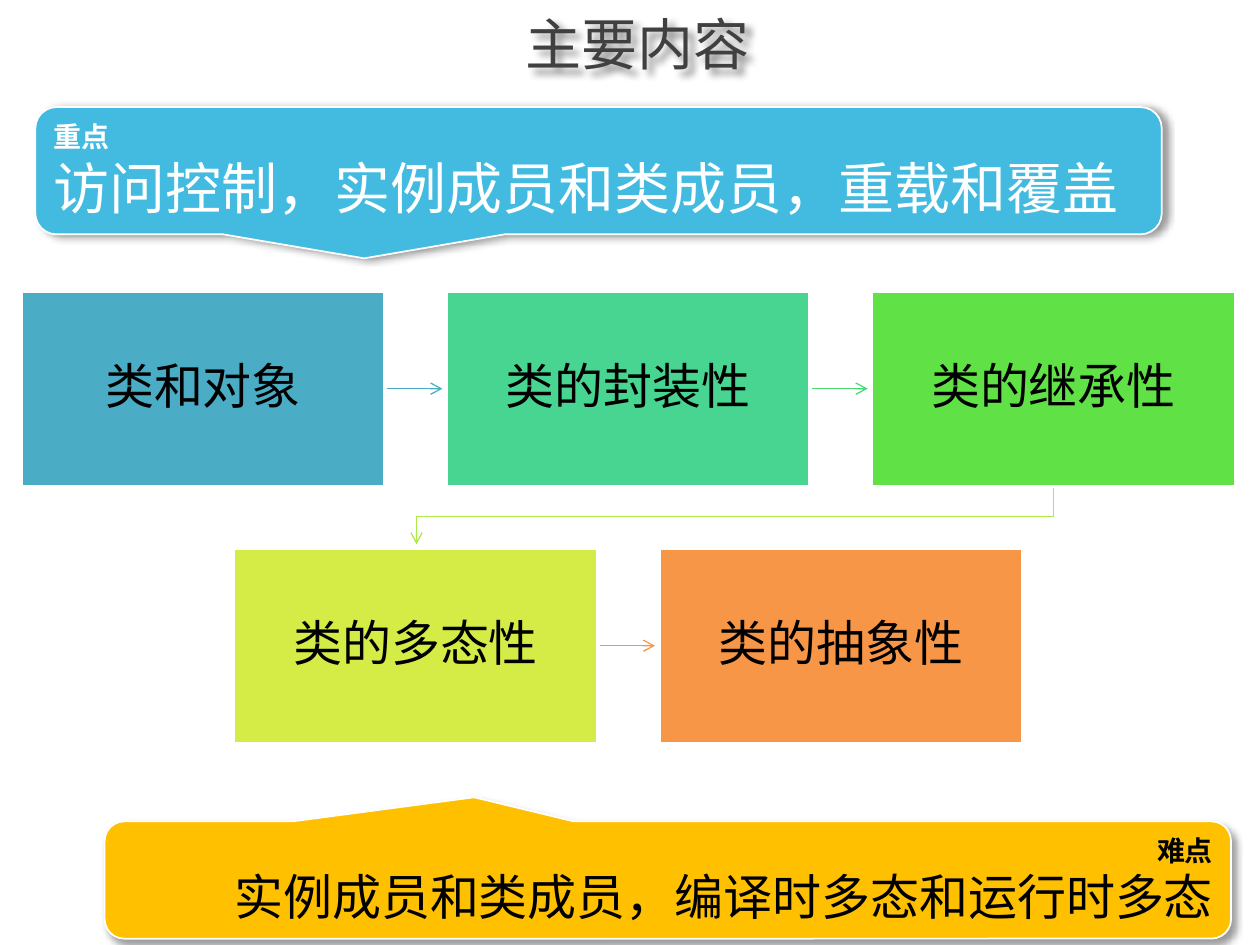
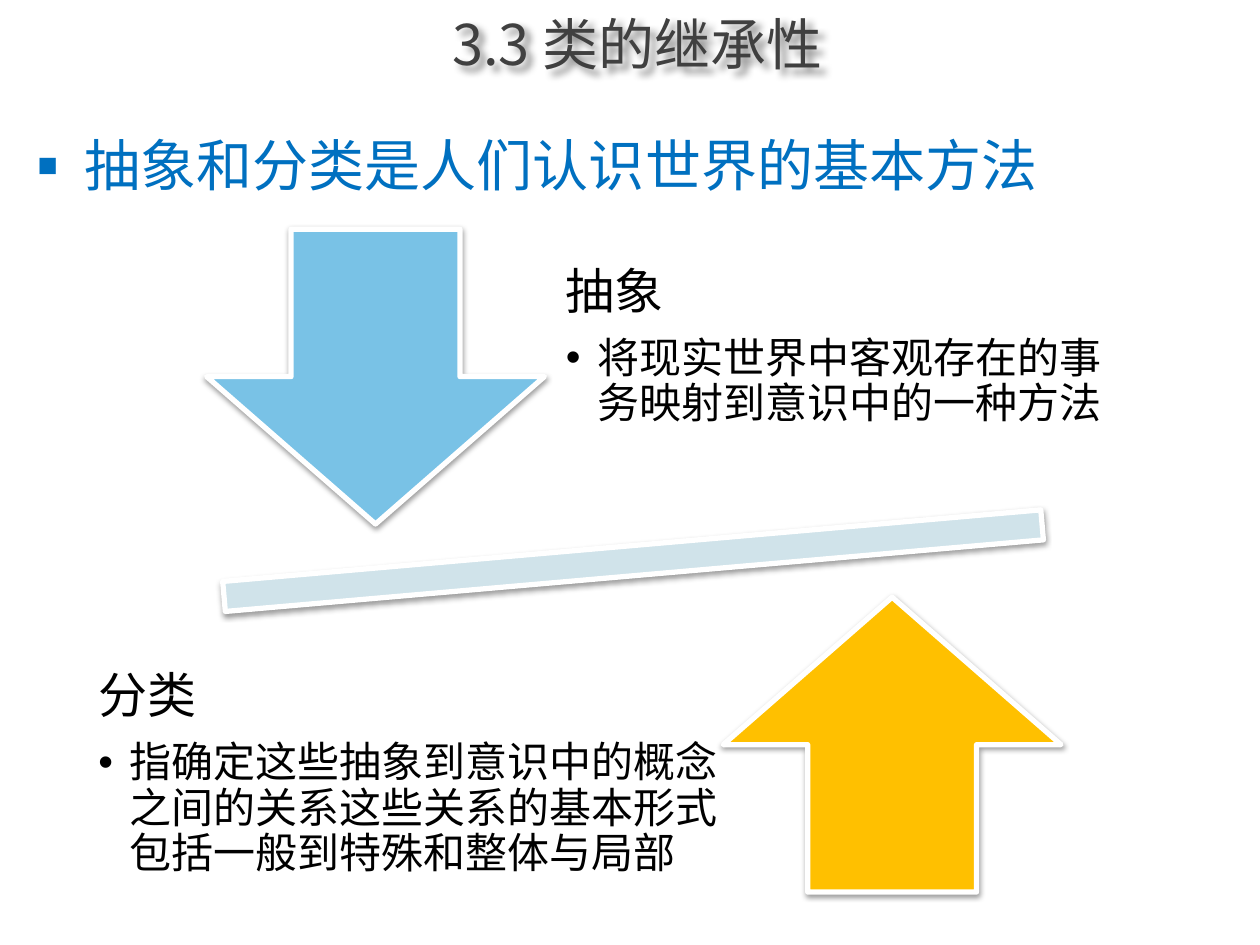
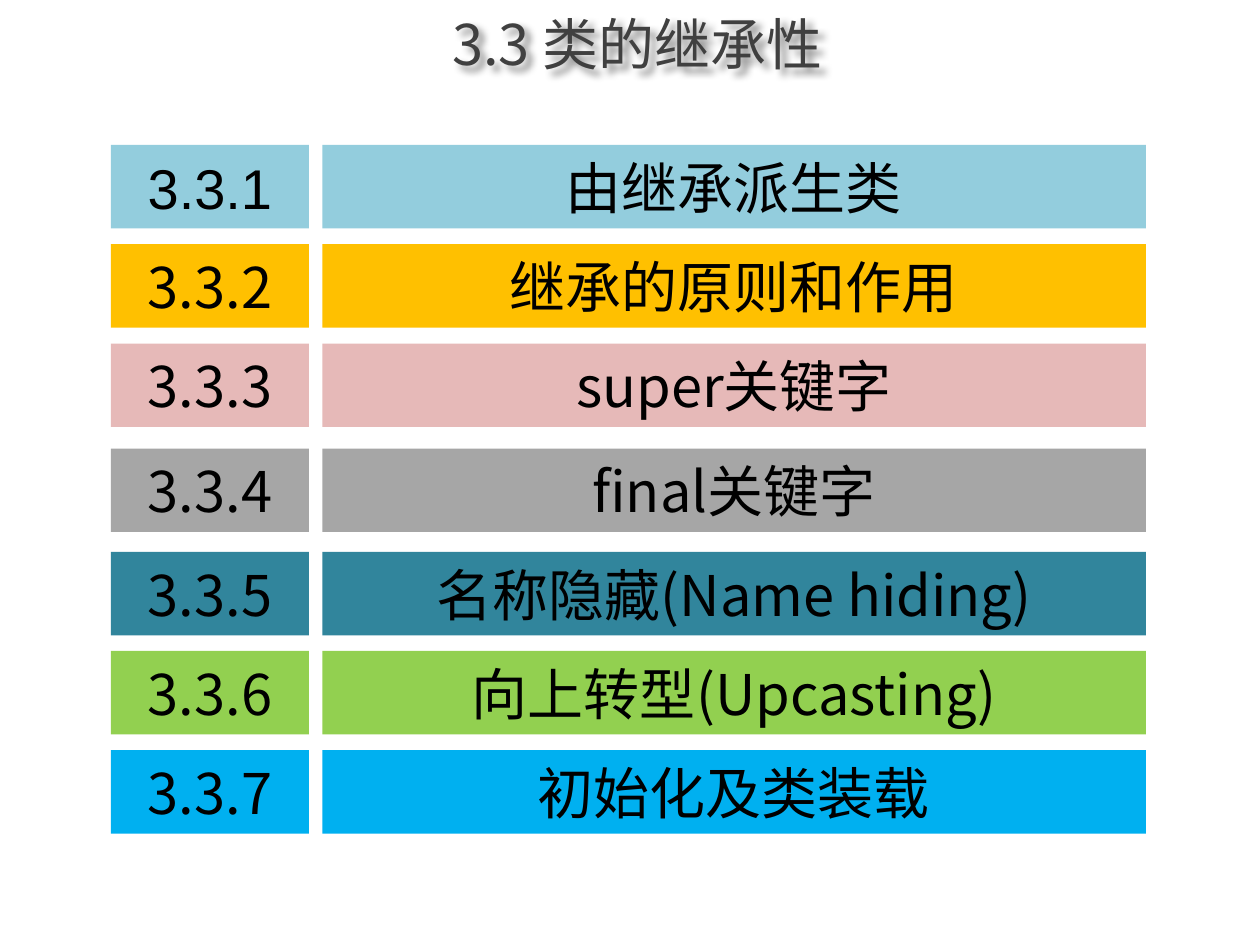
"""Build three slides on classes and inheritance in object-oriented programming."""
from lxml import etree
from pptx import Presentation
from pptx.dml.color import RGBColor
from pptx.enum import shapes, text
from pptx.oxml.ns import qn
from pptx.util import Pt

COLOURS = {
    "title": "404040", "black": "000000", "white": "FFFFFF", "blue": "0070C0",
    "amber": "FFC000", "sky": "43BBE1", "teal": "4BACC6", "mint": "48D491",
    "green": "60E146", "lime": "D5EC46", "orange": "F79646",
    "mint_arrow": "47D872", "lime_arrow": "ACE946", "arrow_blue": "79C2E6",
    "beam": "D0E3EA", "pale_blue": "93CDDD", "pink": "E6B9B8",
    "grey": "A6A6A6", "dark_teal": "31859C", "leaf": "92D050", "bright": "00B0F0",
}
FONT = "Noto Sans CJK SC"
SHAPE = shapes.MSO_SHAPE
LEFT, CENTRE, RIGHT = text.PP_ALIGN.LEFT, text.PP_ALIGN.CENTER, text.PP_ALIGN.RIGHT
TOP, MIDDLE = text.MSO_ANCHOR.TOP, text.MSO_ANCHOR.MIDDLE

OVERVIEW_TITLE = "主要内容"
INHERITANCE_TITLE = "3.3 类的继承性"

TOPIC_ROWS = [
    (166.3, [("类和对象", "teal"), ("类的封装性", "mint"), ("类的继承性", "green")]),
    (313.2, [("类的多态性", "lime"), ("类的抽象性", "orange")]),
]
ROW_ARROWS = [["teal", "mint_arrow"], ["orange"]]
TOPIC_W, TOPIC_H, TOPIC_GAP, ROW_CENTRE = 208, 111.6, 35, 359
ARROW_GAP = 2.2

CALLOUTS = [
    dict(area=(20.2, 61.2, 643.7, 72.7), tip=(-0.208, 0.689), fill="sky", colour="white",
         align=LEFT, angle=0, size=32, head="重点", body="访问控制，实例成员和类成员，重载和覆盖"),
    dict(area=(59.8, 469.4, 643.7, 67), tip=(-0.172, -0.706), fill="amber", colour="black",
         align=RIGHT, angle=45, size=28, head="难点", body="实例成员和类成员，编译时多态和运行时多态"),
]

METHOD_LINE = "抽象和分类是人们认识世界的基本方法"
BEAM = (42.5, 283.7, 638.6, 73.4)
METHODS = [
    (SHAPE.DOWN_ARROW, (118.1, 131, 193, 168.5), "arrow_blue", (307.4, 110.2, 352.8, 176.4),
     "抽象", "将现实世界中客观存在的事务映射到意识中的一种方法"),
    (SHAPE.UP_ARROW, (413.3, 341.3, 193, 168.5), "amber", (40.3, 354.2, 398.9, 176.4),
     "分类", "指确定这些抽象到意识中的概念之间的关系这些关系的基本形式包括一般到特殊和整体与局部"),
]

SECTIONS = [
    (82.8, "3.3.1", "由继承派生类", "pale_blue"),
    (139.5, "3.3.2", "继承的原则和作用", "amber"),
    (196.3, "3.3.3", "super关键字", "pink"),
    (256.3, "3.3.4", "final关键字", "grey"),
    (315.4, "3.3.5", "名称隐藏(Name hiding)", "dark_teal"),
    (372, "3.3.6", "向上转型(Upcasting)", "leaf"),
    (428.7, "3.3.7", "初始化及类装载", "bright"),
]
SECTION_H = 47.7
NUMBER_X, NUMBER_W, NAME_X, NAME_W = 63.4, 113.2, 184.2, 470.6


def rgb(name):
    return RGBColor.from_string(COLOURS[name])


def add_xml(parent, tag, **attributes):
    return etree.SubElement(parent, qn(tag), {key: str(value) for key, value in attributes.items()})


def style(para, size, colour="black", align=LEFT, bold=False, font=FONT):
    para.alignment = align
    for span in para.runs:
        span.font.size, span.font.bold, span.font.name = Pt(size), bold, font
        span.font.color.rgb = rgb(colour)
        add_xml(span._r.get_or_add_rPr(), "a:ea", typeface=FONT)


def add_bullet(para, char, indent, percent=100):
    props = para._p.get_or_add_pPr()
    props.set("marL", str(Pt(indent)))
    props.set("indent", str(-Pt(indent)))
    add_xml(props, "a:buSzPct", val=percent * 1000)
    add_xml(props, "a:buFont", typeface="Arial")
    add_xml(props, "a:buChar", char=char)


def add_shadow(shape, alpha, blur, distance, angle):
    shape.shadow.inherit = False
    effects = shape._element.spPr.find(qn("a:effectLst"))
    outer = add_xml(effects, "a:outerShdw", blurRad=Pt(blur), dist=Pt(distance),
                    dir=angle * 60000, algn="tl", rotWithShape=0)
    colour = add_xml(outer, "a:srgbClr", val=COLOURS["black"])
    add_xml(colour, "a:alpha", val=alpha * 1000)


def add_block(page, kind, area, fill, line_width=0):
    shape = page.shapes.add_shape(kind, *map(Pt, area))
    shape.shadow.inherit = False
    shape.fill.solid()
    shape.fill.fore_color.rgb = rgb(fill)
    if line_width:
        shape.line.color.rgb = rgb("white")
        shape.line.width = Pt(line_width)
    else:
        shape.line.fill.background()
    return shape


def write(shape, lines, anchor=MIDDLE, inset=None):
    frame = shape.text_frame
    frame.word_wrap, frame.vertical_anchor = True, anchor
    if inset is not None:
        frame.margin_left = frame.margin_right = Pt(inset)
        frame.margin_top = frame.margin_bottom = Pt(inset)
    frame.text = "\n".join(lines)
    return frame.paragraphs


def space(para, after):
    para.line_spacing, para.space_after = 0.9, Pt(after)


def add_page(deck, heading):
    page = deck.slides.add_slide(deck.slide_layouts[5])
    title = page.shapes.title
    title.left, title.top, title.width, title.height = map(Pt, (51.8, 0, 625, 49))
    style(write(title, [heading])[0], 32, "title", CENTRE)
    add_shadow(title, 45, 4, 4, 45)
    return page


def finish_arrow(arrow, colour):
    arrow.line.color.rgb = rgb(colour)
    arrow.line.width = Pt(0.75)
    add_xml(arrow.line._get_or_add_ln(), "a:tailEnd", type="arrow")


def add_arrow(page, start, end, colour):
    arrow = page.shapes.add_connector(shapes.MSO_CONNECTOR.STRAIGHT, *map(Pt, start + end))
    add_xml(arrow._element.spPr, "a:effectLst")
    finish_arrow(arrow, colour)


def add_turn(page, start, end, colour):
    (x1, y1), (x2, y2) = start, end
    bend = (y1 + y2) / 2
    builder = page.shapes.build_freeform(x1, y1, scale=Pt(1))
    builder.add_line_segments([(x1, bend), (x2, bend), (x2, y2)], close=False)
    turn = builder.convert_to_shape()
    turn.shadow.inherit = False
    turn.fill.background()
    finish_arrow(turn, colour)


def build_overview(deck):
    page = add_page(deck, OVERVIEW_TITLE)
    pitch = TOPIC_W + TOPIC_GAP
    starts = [ROW_CENTRE - (len(topics) * pitch - TOPIC_GAP) / 2 for _, topics in TOPIC_ROWS]
    for left, (top, topics), arrows in zip(starts, TOPIC_ROWS, ROW_ARROWS):
        for column, (name, fill) in enumerate(topics):
            box = add_block(page, SHAPE.RECTANGLE,
                            (left + column * pitch, top, TOPIC_W, TOPIC_H), fill, 2)
            para = write(box, [name], inset=16)[0]
            style(para, 28, align=CENTRE)
            space(para, 10)
        for column, colour in enumerate(arrows):
            edge, middle = left + column * pitch + TOPIC_W, top + TOPIC_H / 2
            add_arrow(page, (edge + ARROW_GAP - 1, middle),
                      (edge + TOPIC_GAP - ARROW_GAP, middle), colour)
    (upper, first_row), (lower, _) = TOPIC_ROWS
    add_turn(page, (starts[0] + (len(first_row) - 1) * pitch + TOPIC_W / 2,
                    upper + TOPIC_H + ARROW_GAP - 1),
             (starts[1] + TOPIC_W / 2, lower - ARROW_GAP), "lime_arrow")
    for item in CALLOUTS:
        callout = add_block(page, SHAPE.ROUNDED_RECTANGULAR_CALLOUT, item["area"], item["fill"], 1)
        for index, value in enumerate(item["tip"]):
            callout.adjustments[index] = value
        add_shadow(callout, 40, 4, 3, item["angle"])
        head, body = write(callout, [item["head"], item["body"]], TOP)
        style(head, 16, item["colour"], item["align"], bold=True)
        style(body, item["size"], item["colour"], item["align"])


def build_methods(deck):
    page = add_page(deck, INHERITANCE_TITLE)
    intro = page.shapes.add_textbox(*map(Pt, (14.4, 71.3, 692, 60)))
    para = write(intro, [METHOD_LINE], TOP)[0]
    style(para, 32, "blue")
    add_bullet(para, "■", 27, 60)
    beam = add_block(page, SHAPE.MATH_MINUS, BEAM, "beam", 3)
    beam.rotation = 355
    add_shadow(beam, 38, 3.1, 1.6, 90)
    for kind, arrow_area, fill, text_area, name, meaning in METHODS:
        arrow = add_block(page, kind, arrow_area, fill, 3)
        add_shadow(arrow, 38, 3.1, 1.6, 90)
        box = page.shapes.add_textbox(*map(Pt, text_area))
        head, body = write(box, [name, meaning], inset=16)
        style(head, 28)
        space(head, 10)
        style(body, 24)
        space(body, 3.6)
        add_bullet(body, "•", 18)


def build_sections(deck):
    page = add_page(deck, INHERITANCE_TITLE)
    for row, (top, number, name, fill) in enumerate(SECTIONS):
        cells = [(NAME_X, NAME_W, name, FONT),
                 (NUMBER_X, NUMBER_W, number, FONT if row else "Arial")]
        for left, width, label, font in cells:
            cell = add_block(page, SHAPE.RECTANGLE, (left, top, width, SECTION_H), fill)
            style(write(cell, [label])[0], 32, align=CENTRE, font=font)


def main():
    deck = Presentation()
    deck.slide_width, deck.slide_height = Pt(720), Pt(540)
    build_overview(deck)
    build_methods(deck)
    build_sections(deck)
    deck.save("out.pptx")


if __name__ == "__main__":
    main()
